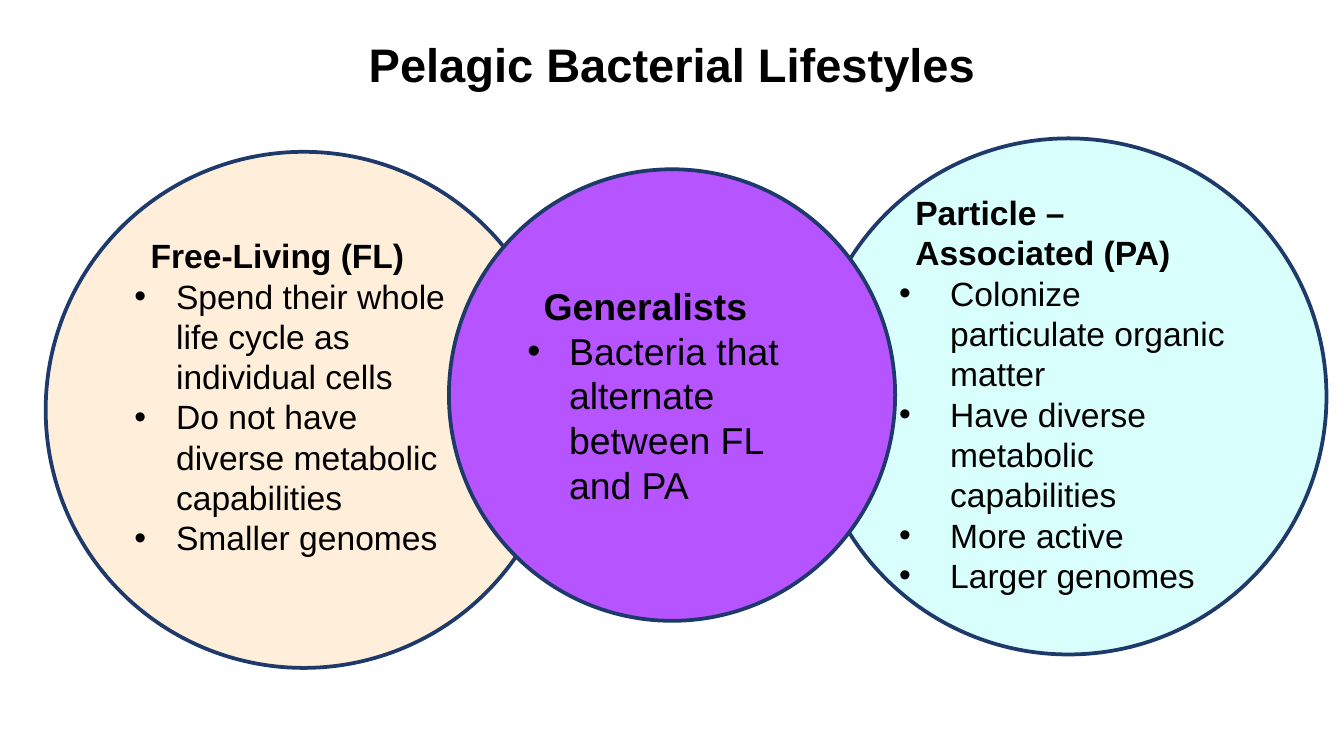
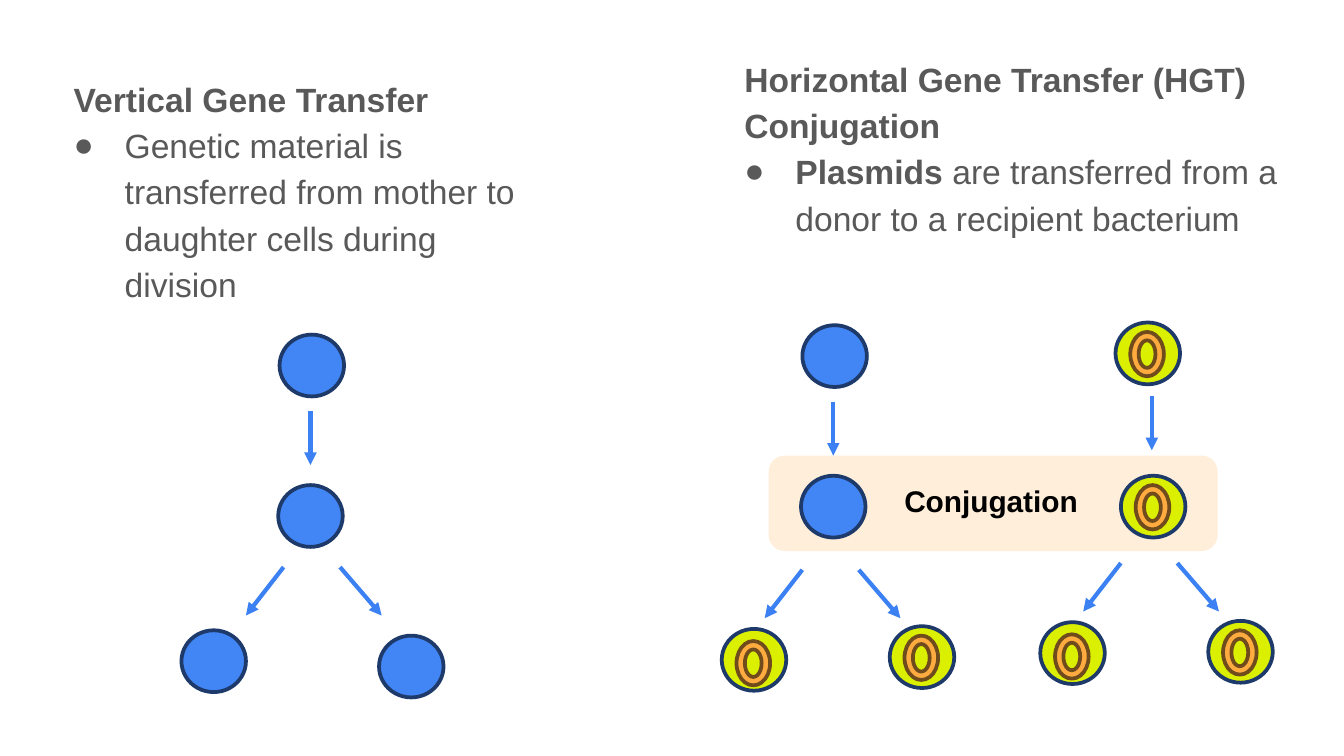
from lxml import etree
from pptx import Presentation
from pptx.dml.color import RGBColor
from pptx.enum import shapes, text
from pptx.oxml import ns
from pptx.util import Inches, Pt

FONT = "Arial"
BLACK, GREY, NAVY = "000000", "595959", "1D3A6B"
PEACH, AQUA, PURPLE = "FFEED9", "D9FFFC", "B654FF"
BLUE, LIME, ARROW = "4285F4", "DBF000", "3C81F3"
ORANGE, BROWN = "FFAB40", "704B1C"
KIND = shapes.MSO_SHAPE


def rgb(code):
    return RGBColor.from_string(code)


def inches(*sizes):
    return [Inches(size) for size in sizes]


# Shared text and shape helpers
def style(item, size, color, bold):
    item.font.name = FONT
    item.font.size = Pt(size)
    item.font.bold = bold
    item.font.color.rgb = rgb(color)


def indent(par, left, hang=0, mark=None, color=BLACK):
    props = par._p.get_or_add_pPr()
    props.set("marL", str(Inches(left)))
    props.set("indent", str(-Inches(hang)))
    if mark:
        tint = etree.SubElement(props, ns.qn("a:buClr"))
        etree.SubElement(tint, ns.qn("a:srgbClr"), val=color)
        etree.SubElement(props, ns.qn("a:buFont"), typeface=FONT)
        etree.SubElement(props, ns.qn("a:buChar"), char=mark)


def heading(frame, words, size, color):
    par = frame.paragraphs[0]
    par.text = words
    par.alignment = text.PP_ALIGN.LEFT
    indent(par, 0.12)
    style(par, size, color, True)
    return par


def bullet(frame, left, hang, mark, color):
    par = frame.add_paragraph()
    par.alignment = text.PP_ALIGN.LEFT
    indent(par, left, hang, mark, color)
    return par


def shape(slide, kind, box, fill, line=None):
    item = slide.shapes.add_shape(kind, *inches(*box))
    item.shadow.inherit = False
    item.fill.solid()
    item.fill.fore_color.rgb = rgb(fill)
    if line:
        item.line.color.rgb = rgb(line)
        item.line.width = Pt(2)
    else:
        item.line.fill.background()
    return item


def arrow(slide, x, y, dx, dy):
    item = slide.shapes.add_connector(
        shapes.MSO_CONNECTOR.STRAIGHT, *inches(x, y, x + dx, y + dy))
    item.line.color.rgb = rgb(ARROW)
    item.line.width = Pt(2.25)
    etree.SubElement(item.line._get_or_add_ln(), ns.qn("a:tailEnd"), type="triangle")
    etree.SubElement(item._element.spPr, ns.qn("a:effectLst"))


def textbox(slide, box, inset):
    frame = slide.shapes.add_textbox(*inches(*box)).text_frame
    frame.word_wrap = True
    frame.margin_top = frame.margin_bottom = Inches(inset)
    return frame


# Lifestyles slide
def title(slide, words, box):
    item = slide.shapes.title
    item.left, item.top, item.width, item.height = inches(*box)
    frame = item.text_frame
    frame.text = words
    frame.vertical_anchor = text.MSO_ANCHOR.MIDDLE
    par = frame.paragraphs[0]
    par.alignment = text.PP_ALIGN.CENTER
    style(par, 25.2, BLACK, True)


def circle(slide, box, fill, head, points, size, hang, lift=0):
    frame = shape(slide, KIND.OVAL, box, fill, NAVY).text_frame
    frame.word_wrap = True
    frame.vertical_anchor = text.MSO_ANCHOR.MIDDLE
    frame.margin_bottom = Inches(0.05 + 2 * lift)
    heading(frame, head, size, BLACK)
    for point in points:
        par = bullet(frame, hang, hang, "•", BLACK)
        par.text = point
        style(par, size, BLACK, False)


def lifestyles(deck):
    slide = deck.slides.add_slide(deck.slide_layouts[5])
    title(slide, "Pelagic Bacterial Lifestyles", (0.34, 0.16, 9.32, 0.63))
    circle(slide, (0.34, 1.13, 3.84, 3.84), PEACH, "Free-Living (FL)", [
        "Spend their whole life cycle as individual cells",
        "Do not have diverse metabolic capabilities",
        "Smaller genomes"], 18, 0.31, lift=0.1)
    circle(slide, (6.03, 1.03, 3.84, 3.84), AQUA, "Particle – Associated (PA)", [
        "Colonize particulate organic matter",
        "Have diverse metabolic capabilities",
        "More active",
        "Larger genomes"], 18, 0.38, lift=0.02)
    circle(slide, (3.34, 1.26, 3.32, 3.36), PURPLE, "Generalists", [
        "Bacteria that alternate between FL and PA"], 20, 0.31)


# Gene transfer slide
def summary(slide, box, head, strong, plain):
    frame = textbox(slide, box, 0.1)
    first = heading(frame, head, 18, GREY)
    point = bullet(frame, 0.5, 0.38, "●", GREY)
    for words, bold in ((strong, True), (plain, False)):
        if words:
            run = point.add_run()
            run.text = words
            style(run, 18, GREY, bold)
    for par in (first, point):
        par.line_spacing = 1.15


def cell(slide, x, y, plasmid, drop=0.07):
    shape(slide, KIND.OVAL, (x, y, 0.48, 0.46), LIME if plasmid else BLUE, NAVY)
    if plasmid:
        shape(slide, KIND.DONUT, (x + 0.11, y + drop, 0.25, 0.33), ORANGE, BROWN)


def family(slide, adults, kids, stem, fork, plasmids):
    """Two adult cells above two daughters; plasmids: (adults, daughters)."""
    arrow(slide, *stem, 0, 0.4)
    x, y = fork
    arrow(slide, x, y, -0.28, 0.36)
    arrow(slide, x + 0.42, y, 0.31, 0.36)
    for spot in adults:
        cell(slide, *spot, plasmids[0])
    for spot, drop in zip(kids, (0.09, 0.07)):
        cell(slide, *spot, plasmids[1], drop)


def transfer(deck):
    slide = deck.slides.add_slide(deck.slide_layouts[6])
    shape(slide, KIND.ROUNDED_RECTANGLE, (5.72, 3.39, 3.34, 0.71), PEACH)
    summary(slide, (0.33, 0.44, 3.84, 3.74), "Vertical Gene Transfer", "",
            "Genetic material is transferred from mother to daughter cells during division")
    summary(slide, (5.32, 0.29, 4.32, 3.74),
            "Horizontal Gene Transfer (HGT) Conjugation",
            "Plasmids ", "are transferred from a donor to a recipient bacterium")

    # Vertical line, then recipient and donor
    family(slide, [(2.08, 2.49), (2.07, 3.61)], [(1.35, 4.69), (2.82, 4.73)],
           (2.31, 3.06), (2.11, 4.22), (False, False))
    family(slide, [(5.97, 2.42), (5.96, 3.54)], [(5.37, 4.68), (6.62, 4.66)],
           (6.2, 2.99), (5.97, 4.24), (False, True))
    family(slide, [(8.3, 2.4), (8.34, 3.54)], [(7.74, 4.63), (8.99, 4.62)],
           (8.57, 2.95), (8.34, 4.19), (True, True))

    label = textbox(slide, (6.63, 3.54, 1.59, 0.37), 0.05).paragraphs[0]
    label.text = "Conjugation"
    style(label, 16, BLACK, True)


def main():
    deck = Presentation()
    # Widescreen, 16:9
    deck.slide_width = Inches(10)
    deck.slide_height = deck.slide_width * 9 // 16
    lifestyles(deck)
    transfer(deck)
    deck.save("out.pptx")


if __name__ == "__main__":
    main()
